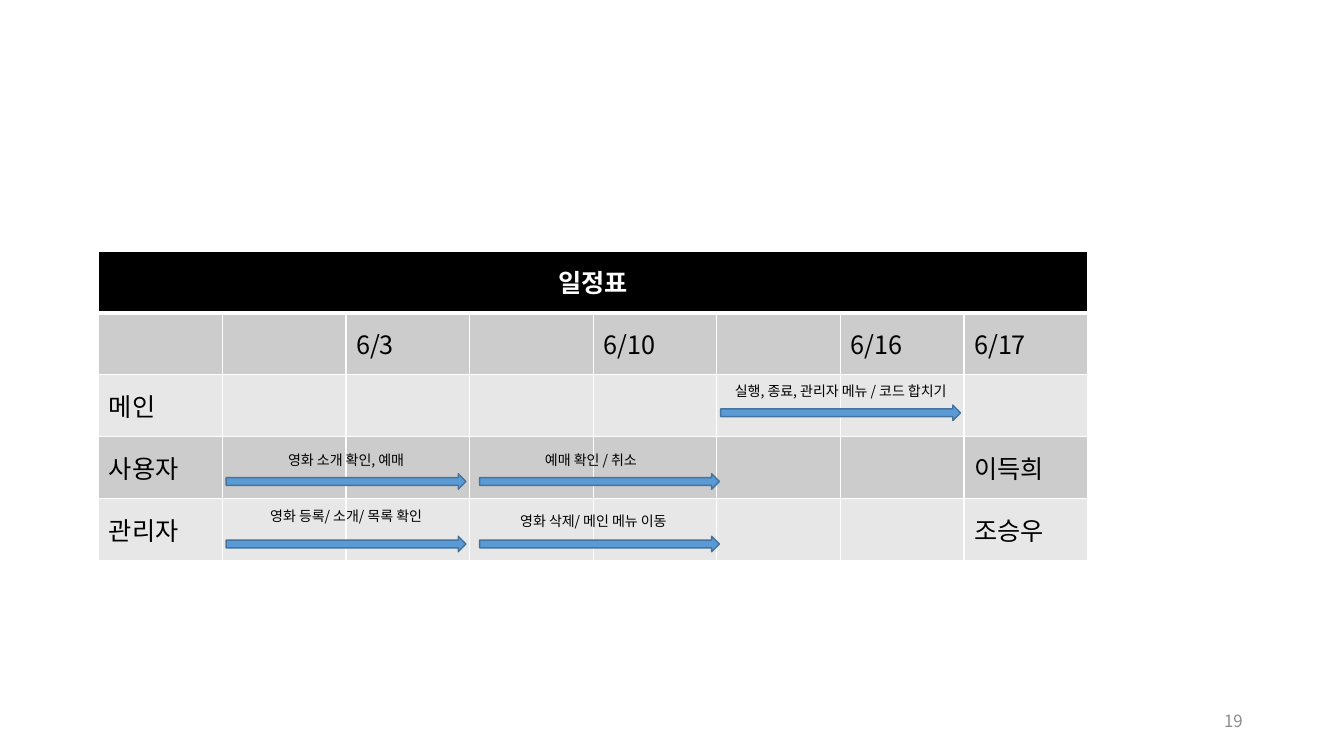
from lxml import etree
from pptx import Presentation
from pptx.dml.color import RGBColor
from pptx.enum.shapes import MSO_SHAPE
from pptx.enum.text import MSO_ANCHOR, PP_ALIGN
from pptx.oxml.ns import qn
from pptx.util import Inches, Pt

RIGHT_ARROW = MSO_SHAPE.RIGHT_ARROW
MIDDLE, TOP = MSO_ANCHOR.MIDDLE, MSO_ANCHOR.TOP
LEFT, CENTER, RIGHT = PP_ALIGN.LEFT, PP_ALIGN.CENTER, PP_ALIGN.RIGHT

FONT = "Noto Sans CJK KR"
SLIDE_W, SLIDE_H = 13.33, 7.5

# Schedule grid, in inches
GRID_LEFT, GRID_TOP = 0.98, 2.49
GRID_W, GRID_H = 9.81, 3.07
COLS, ROWS = 8, 5
COL_W, ROW_H = GRID_W / COLS, GRID_H / ROWS
ARROW_COLS, ARROW_ROWS = 1.94, 0.25
LABEL_ROWS = 0.44

HEADING = "일정표"
SCHEDULE = [
    ["", "", "6/3", "", "6/10", "", "6/16", "6/17"],
    ["메인", "", "", "", "", "", "", ""],
    ["사용자", "", "", "", "", "", "", "이득희"],
    ["관리자", "", "", "", "", "", "", "조승우"],
]
BAND_FILLS = ["CCCCCC", "E7E7E7"]

# Arrow column and row, then label: text, middle column, row, width in columns
TASKS = [
    (1.03, 3.6, "영화 소개 확인, 예매", 2, 3.16, 1.22),
    (1.03, 4.61, "영화 등록/ 소개/ 목록 확인", 2, 4.07, 1.56),
    (3.08, 3.6, "예매 확인 / 취소", 3.98, 3.16, 1.02),
    (3.08, 4.61, "영화 삭제/ 메인 메뉴 이동", 4, 4.14, 1.52),
    (5.03, 2.49, "실행, 종료, 관리자 메뉴 / 코드 합치기", 6, 2.05, 2.1),
]


def color(hex_value):
    return RGBColor.from_string(hex_value)


def grid_box(col, row, cols, rows):
    """Left, top, width and height of an area of the schedule grid."""
    return (Inches(GRID_LEFT + col * COL_W), Inches(GRID_TOP + row * ROW_H),
            Inches(cols * COL_W), Inches(rows * ROW_H))


def write(frame, text, size, hex_value="000000", align=LEFT, bold=False):
    paragraph = frame.paragraphs[0]
    paragraph.text = text
    paragraph.alignment = align
    font = paragraph.font
    font.name, font.size, font.bold = FONT, Pt(size), bold
    font.color.rgb = color(hex_value)
    # Korean glyphs take the East Asian typeface
    east_asian = etree.SubElement(paragraph._p.pPr.find(qn("a:defRPr")), qn("a:ea"))
    east_asian.set("typeface", FONT)


def set_borders(cell, top=1, bottom=1):
    properties = cell._tc.get_or_add_tcPr()
    widths = {"a:lnL": 1, "a:lnR": 1, "a:lnT": top, "a:lnB": bottom}
    for position, (side, width) in enumerate(widths.items()):
        border = etree.Element(qn(side), w=str(Pt(width)))
        fill = etree.SubElement(border, qn("a:solidFill"))
        etree.SubElement(fill, qn("a:srgbClr"), val="FFFFFF")
        properties.insert(position, border)


def fill_cell(cell, text, fill, **text_format):
    cell.fill.solid()
    cell.fill.fore_color.rgb = color(fill)
    cell.vertical_anchor = MIDDLE
    write(cell.text_frame, text, 18, **text_format)


def add_schedule(slide):
    table = slide.shapes.add_table(ROWS, COLS, *grid_box(0, 0, COLS, ROWS)).table

    # Heading across all columns
    heading = table.cell(0, 0)
    heading.merge(table.cell(0, COLS - 1))
    fill_cell(heading, HEADING, "000000", hex_value="FFFFFF", align=CENTER, bold=True)
    for col in range(COLS):
        set_borders(table.cell(0, col), bottom=3)

    # Dates and roles in bands
    for row, texts in enumerate(SCHEDULE, start=1):
        for col, text in enumerate(texts):
            cell = table.cell(row, col)
            fill_cell(cell, text, BAND_FILLS[(row - 1) % 2])
            set_borders(cell, top=3 if row == 1 else 1)


def add_arrow(slide, col, row):
    arrow = slide.shapes.add_shape(RIGHT_ARROW, *grid_box(col, row, ARROW_COLS, ARROW_ROWS))
    arrow.shadow.inherit = False
    arrow.fill.solid()
    arrow.fill.fore_color.rgb = color("5B9BD5")
    arrow.line.color.rgb = color("43739E")
    arrow.line.width = Pt(1)


def add_text(slide, box, text, size, anchor=TOP, wrap=False, **text_format):
    frame = slide.shapes.add_textbox(*box).text_frame
    frame.word_wrap = wrap
    frame.vertical_anchor = anchor
    write(frame, text, size, **text_format)


def main():
    deck = Presentation()
    deck.slide_width, deck.slide_height = Inches(SLIDE_W), Inches(SLIDE_H)
    slide = deck.slides.add_slide(deck.slide_layouts[6])

    add_schedule(slide)

    # Task arrows, then their labels on top
    for arrow_col, arrow_row, *_ in TASKS:
        add_arrow(slide, arrow_col, arrow_row)
    for _, _, task, middle, row, cols in TASKS:
        box = grid_box(middle - cols / 2, row, cols, LABEL_ROWS)
        add_text(slide, box, task, 10, align=CENTER)

    # Page number
    page_box = [Inches(length) for length in
                (SLIDE_W * 0.707, SLIDE_H * 0.927, SLIDE_W * 0.225, SLIDE_H * 0.053)]
    add_text(slide, page_box, "19", 12, anchor=MIDDLE, wrap=True,
             hex_value="8C8C8C", align=RIGHT)

    deck.save("out.pptx")


if __name__ == "__main__":
    main()
